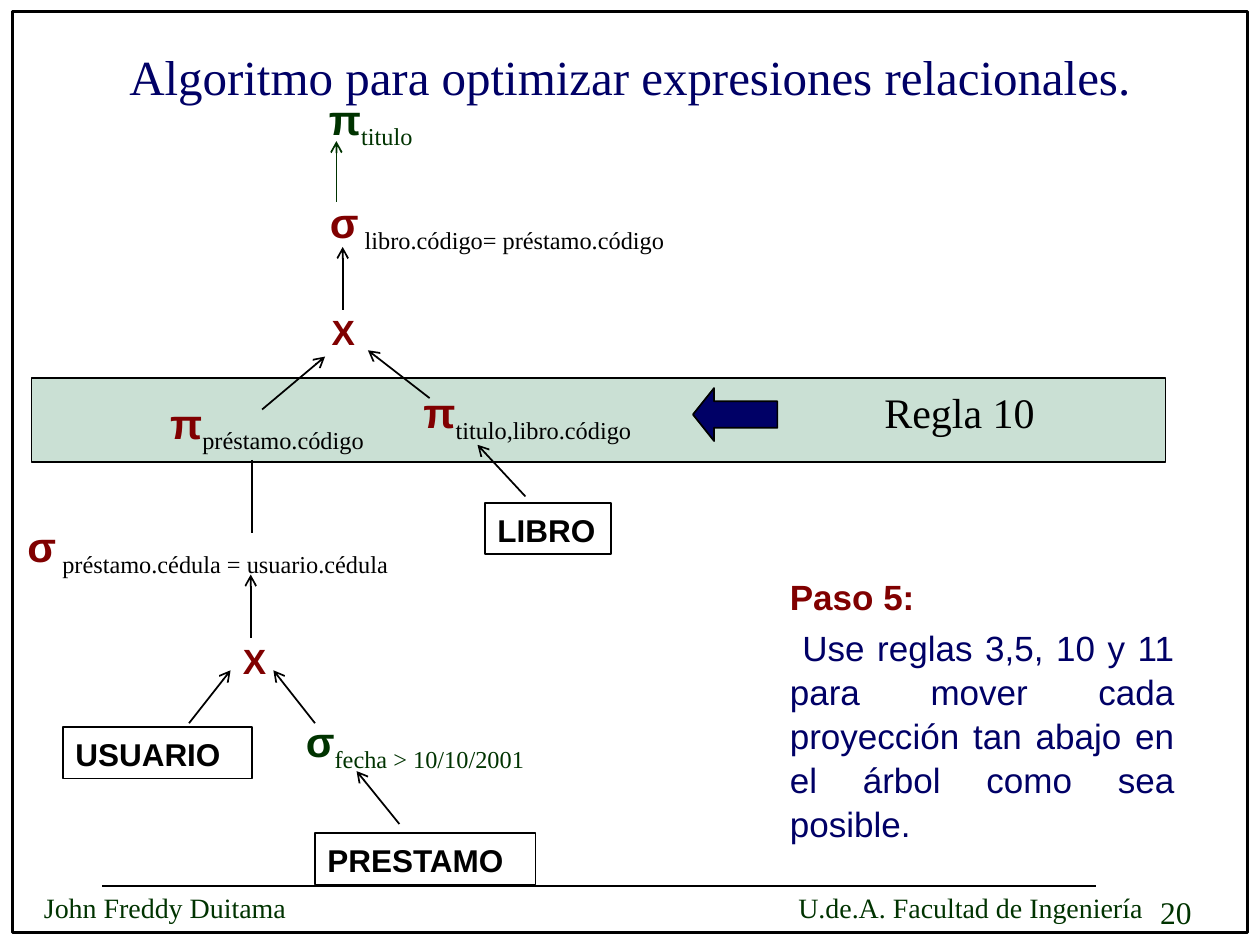
"""Build the slide on moving projections down a relational expression tree."""
from typing import NamedTuple

from lxml.etree import SubElement
from pptx import Presentation
from pptx.dml.color import RGBColor
from pptx.enum.shapes import MSO_CONNECTOR, MSO_SHAPE
from pptx.enum.text import MSO_ANCHOR, PP_ALIGN
from pptx.oxml.ns import qn
from pptx.util import Inches, Pt

BLACK = RGBColor(0x00, 0x00, 0x00)
NAVY = RGBColor(0x00, 0x00, 0x66)
MAROON = RGBColor(0x80, 0x00, 0x00)
GREEN = RGBColor(0x00, 0x33, 0x00)
MINT = RGBColor(0xCA, 0xE0, 0xD4)
SANS = "Arial"
SERIF = "Times New Roman"


class Box(NamedTuple):
    left: float
    top: float
    width: float
    height: float


class Run(NamedTuple):
    text: str
    color: RGBColor = BLACK
    font: str = SANS
    bold: bool = False
    subscript: bool = False


class Operator(NamedTuple):
    box: Box
    symbol: str
    condition: str
    color: RGBColor = MAROON
    condition_color: RGBColor = BLACK


class Relation(NamedTuple):
    box: Box
    label: str


class Edge(NamedTuple):
    x1: float
    y1: float
    x2: float
    y2: float
    color: RGBColor = BLACK
    arrow: bool = True


OPERATORS = [
    Operator(Box(2.42, 0.67, 6.42, 0.5), " π", "titulo", GREEN, GREEN),
    Operator(Box(2.52, 1.49, 6.83, 0.5), "σ", " libro.código= préstamo.código"),
    Operator(Box(3.17, 3, 2.33, 0.5), " π", "titulo,libro.código"),
    Operator(Box(1.16, 3.08, 2.42, 0.5), " π", "préstamo.código"),
    Operator(Box(0.12, 4.06, 3.67, 0.5), "σ", " préstamo.cédula = usuario.cédula"),
    Operator(Box(2.33, 5.61, 6.83, 0.5), "σ", "fecha > 10/10/2001", GREEN, GREEN),
]
PRODUCTS = [Box(2.35, 2.4, 0.75, 0.43), Box(1.77, 5.01, 0.5, 0.43)]
RELATIONS = [
    Relation(Box(3.85, 3.99, 1, 0.41), "LIBRO"),
    Relation(Box(0.5, 5.77, 1.5, 0.41), "USUARIO"),
    Relation(Box(2.5, 6.61, 1.75, 0.41), "PRESTAMO"),
]
EDGES = [
    Edge(2.67, 1.6, 2.67, 1.12, GREEN),
    Edge(2.72, 2.46, 2.72, 1.96),
    Edge(2.08, 3.25, 2.58, 2.83),
    Edge(3.41, 3.16, 2.92, 2.78),
    Edge(4.17, 3.94, 3.79, 3.53),
    Edge(2, 3.65, 2, 4.23, arrow=False),
    Edge(1.99, 5.06, 1.99, 4.56),
    Edge(1.5, 5.74, 1.83, 5.32),
    Edge(2.5, 5.74, 2.17, 5.32),
    Edge(3.17, 6.54, 2.83, 6.12),
    Edge(0.81, 7.03, 8.7, 7.03, arrow=False),
]


def write(frame, *paragraphs: list[Run], size: float, align=PP_ALIGN.LEFT,
          anchor=MSO_ANCHOR.TOP, spacing: float = 1.05,
          right_tab: float | None = None) -> None:
    frame.word_wrap = True
    frame.vertical_anchor = anchor
    for index, runs in enumerate(paragraphs):
        paragraph = frame.add_paragraph() if index else frame.paragraphs[0]
        paragraph.alignment = align
        paragraph.line_spacing = spacing
        if index:
            paragraph.space_before = Pt(0.2 * size)
        if right_tab is not None:
            tabs = SubElement(paragraph._p.get_or_add_pPr(), qn("a:tabLst"))
            SubElement(tabs, qn("a:tab"), pos=str(Inches(right_tab)), algn="r")
        for item in runs:
            run = paragraph.add_run()
            run.text = item.text
            run.font.name = item.font
            run.font.size = Pt(size)
            run.font.bold = item.bold
            run.font.color.rgb = item.color
            if item.subscript:
                run.font._element.set("baseline", "-25000")


def add_text(slide, box: Box, *paragraphs: list[Run], **text_format) -> None:
    frame = slide.shapes.add_textbox(*map(Inches, box)).text_frame
    write(frame, *paragraphs, **text_format)


def add_block(slide, box: Box, kind=MSO_SHAPE.RECTANGLE,
              fill: RGBColor | None = None, line_width: float = 1):
    block = slide.shapes.add_shape(kind, *map(Inches, box))
    block.shadow.inherit = False
    if fill is None:
        block.fill.background()
    else:
        block.fill.solid()
        block.fill.fore_color.rgb = fill
    block.line.color.rgb = BLACK
    block.line.width = Pt(line_width)
    return block


def add_edge(slide, edge: Edge) -> None:
    ends = map(Inches, (edge.x1, edge.y1, edge.x2, edge.y2))
    connector = slide.shapes.add_connector(MSO_CONNECTOR.STRAIGHT, *ends)
    connector.line.color.rgb = edge.color
    connector.line.width = Pt(1)
    if edge.arrow:
        SubElement(connector.line._get_or_add_ln(), qn("a:tailEnd"), type="arrow")
    SubElement(connector._element.spPr, qn("a:effectLst"))


def add_operator(slide, operator: Operator) -> None:
    symbol = Run(operator.symbol, operator.color, bold=True)
    condition = Run(operator.condition, operator.condition_color, SERIF, subscript=True)
    add_text(slide, operator.box, [symbol, condition], size=24)


def add_relation(slide, relation: Relation) -> None:
    block = add_block(slide, relation.box)
    write(block.text_frame, [Run(relation.label, bold=True)], size=18)


def main() -> None:
    deck = Presentation()
    deck.slide_width, deck.slide_height = Inches(10), Inches(7.5)
    slide = deck.slides.add_slide(deck.slide_layouts[6])

    add_block(slide, Box(0.1, 0.09, 9.8, 7.31), line_width=2)
    add_block(slide, Box(0.25, 3, 9, 0.67), fill=MINT)
    rule_arrow = add_block(slide, Box(5.5, 3.08, 0.67, 0.42), MSO_SHAPE.LEFT_ARROW, NAVY)
    rule_arrow.adjustments[1] = 0.4

    add_text(slide, Box(0.75, 0.31, 8.5, 0.58),
             [Run("Algoritmo para optimizar expresiones relacionales.", NAVY, SERIF)],
             size=28, align=PP_ALIGN.CENTER, anchor=MSO_ANCHOR.MIDDLE, spacing=1)
    for edge in EDGES:
        add_edge(slide, edge)
    for relation in RELATIONS:
        add_relation(slide, relation)
    for operator in OPERATORS:
        add_operator(slide, operator)
    for product in PRODUCTS:
        add_text(slide, product, [Run("X", MAROON, bold=True)],
                 size=20, align=PP_ALIGN.CENTER)

    add_text(slide, Box(6.92, 3, 2.17, 0.5), [Run("Regla 10", font=SERIF)], size=24)
    add_text(slide, Box(6.17, 4.5, 3.25, 2.17),
             [Run("Paso 5:", MAROON, bold=True)],
             [Run(" Use reglas 3,5, 10 y 11 para mover cada proyección tan abajo "
                  "en el árbol como sea posible.", NAVY)],
             size=20, align=PP_ALIGN.JUSTIFY)
    add_text(slide, Box(0.25, 7.02, 9.25, 0.36),
             [Run("John Freddy Duitama\tU.de.A. Facultad de Ingeniería", GREEN, SERIF)],
             size=16, spacing=1, right_tab=8.72)
    add_text(slide, Box(9.11, 7.04, 0.77, 0.4), [Run("20", GREEN, SERIF)],
             size=18, spacing=1)
    deck.save("out.pptx")


if __name__ == "__main__":
    main()
